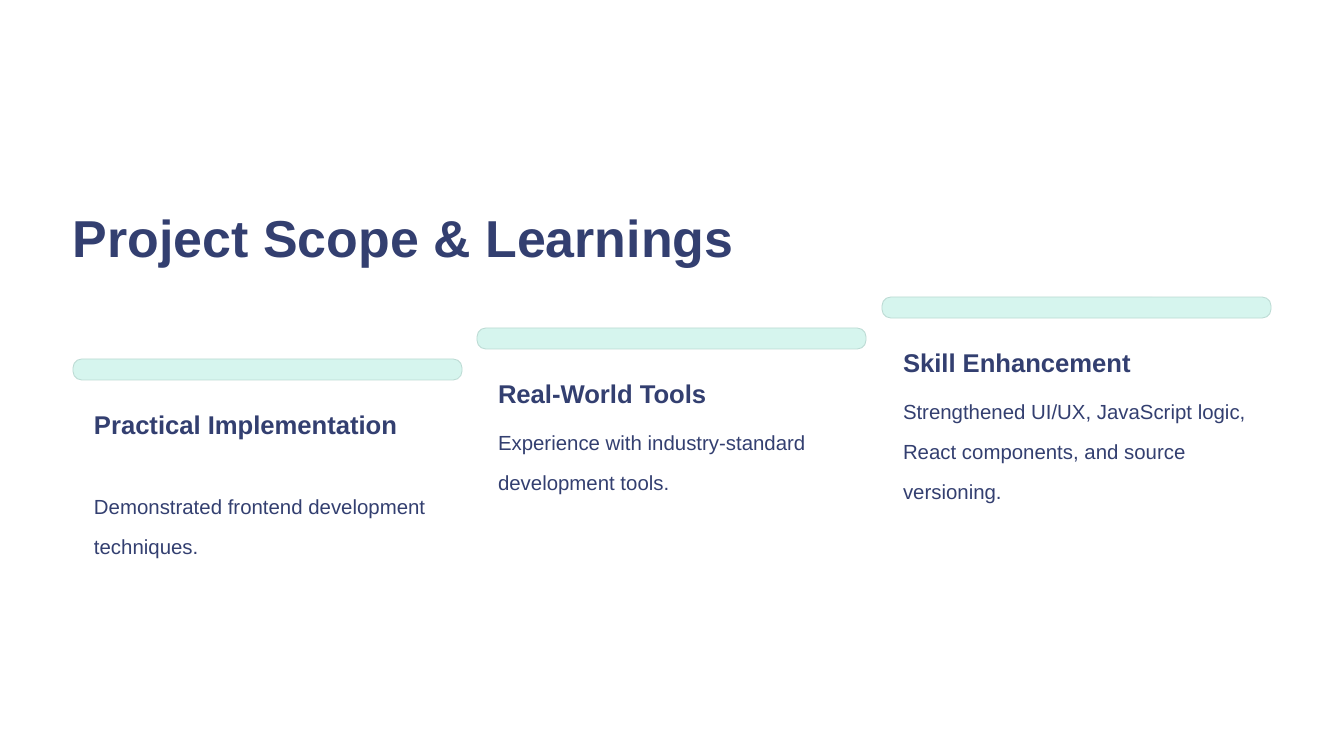
from dataclasses import dataclass

from pptx import Presentation
from pptx.dml.color import RGBColor
from pptx.enum.shapes import MSO_SHAPE as Shape
from pptx.enum.text import MSO_ANCHOR as Anchor, MSO_AUTO_SIZE as AutoSize, PP_ALIGN as Align
from pptx.slide import Slide
from pptx.text.text import TextFrame
from pptx.util import Emu, Pt

PX_PER_INCH = 84
COLORS = {"navy": "333F70", "mint": "D6F5EE", "edge": "BCDBD4", "white": "FFFFFF"}
FONT = "Arial"
MARGIN = 73
COLUMN_STEP = 404.5
BAR_WIDTH, BAR_HEIGHT = 389, 21
INSET = 21
TEXT_WIDTH = BAR_WIDTH - 2 * INSET
HEADING_DROP = 42
BODY_DROP = 54


@dataclass(frozen=True)
class Card:
    top: int
    heading: str
    heading_height: int
    body: str
    body_height: int


@dataclass(frozen=True)
class TextStyle:
    size: float
    bold: bool
    line_spacing: float


TITLE = TextStyle(44.5, True, 1.25)
HEADING = TextStyle(22, True, 1.25)
BODY = TextStyle(17.5, False, 1.63)

CARDS = [
    Card(359, "Practical Implementation", 66,
         "Demonstrated frontend development techniques.", 66),
    Card(328, "Real-World Tools", 33,
         "Experience with industry-standard development tools.", 66),
    Card(297, "Skill Enhancement", 33,
         "Strengthened UI/UX, JavaScript logic, React components, and source versioning.", 100),
]


def px(value: int) -> Emu:
    return Emu(round(value * 914400 / PX_PER_INCH))


def color(name: str) -> RGBColor:
    return RGBColor.from_string(COLORS[name])


def write(frame: TextFrame, text: str, style: TextStyle) -> None:
    frame.margin_left = frame.margin_right = frame.margin_top = frame.margin_bottom = 0
    frame.word_wrap = True
    frame.auto_size = AutoSize.NONE
    frame.vertical_anchor = Anchor.TOP
    paragraph = frame.paragraphs[0]
    paragraph.alignment = Align.LEFT
    paragraph.line_spacing = style.line_spacing
    run = paragraph.add_run()
    run.text = text
    run.font.name = FONT
    run.font.size = Pt(style.size)
    run.font.bold = style.bold
    run.font.color.rgb = color("navy")


def add_title(slide: Slide, text: str) -> None:
    title = slide.shapes.title
    title.left, title.top, title.width, title.height = px(MARGIN), px(190), px(857), px(66)
    write(title.text_frame, text, TITLE)


def add_text(slide: Slide, left: int, top: int, height: int, text: str, style: TextStyle) -> None:
    box = slide.shapes.add_textbox(px(left), px(top), px(TEXT_WIDTH), px(height))
    write(box.text_frame, text, style)


def add_card(slide: Slide, left: int, card: Card) -> None:
    bar = slide.shapes.add_shape(
        Shape.ROUNDED_RECTANGLE, px(left), px(card.top), px(BAR_WIDTH), px(BAR_HEIGHT))
    bar.adjustments[0] = 0.42
    bar.shadow.inherit = False
    bar.fill.solid()
    bar.fill.fore_color.rgb = color("mint")
    bar.line.color.rgb = color("edge")
    bar.line.width = Pt(0.75)
    heading_top = card.top + HEADING_DROP
    body_top = heading_top + card.heading_height + BODY_DROP - HEADING_DROP
    add_text(slide, left + INSET, heading_top, card.heading_height, card.heading, HEADING)
    add_text(slide, left + INSET, body_top, card.body_height, card.body, BODY)


def main() -> None:
    presentation = Presentation()
    presentation.slide_width = px(16 * PX_PER_INCH)
    presentation.slide_height = px(9 * PX_PER_INCH)
    slide = presentation.slides.add_slide(presentation.slide_layouts.get_by_name("Title Only"))
    slide.background.fill.solid()
    slide.background.fill.fore_color.rgb = color("white")
    add_title(slide, "Project Scope & Learnings")
    for column, card in enumerate(CARDS):
        add_card(slide, int(MARGIN + column * COLUMN_STEP), card)
    presentation.save("out.pptx")


if __name__ == "__main__":
    main()
